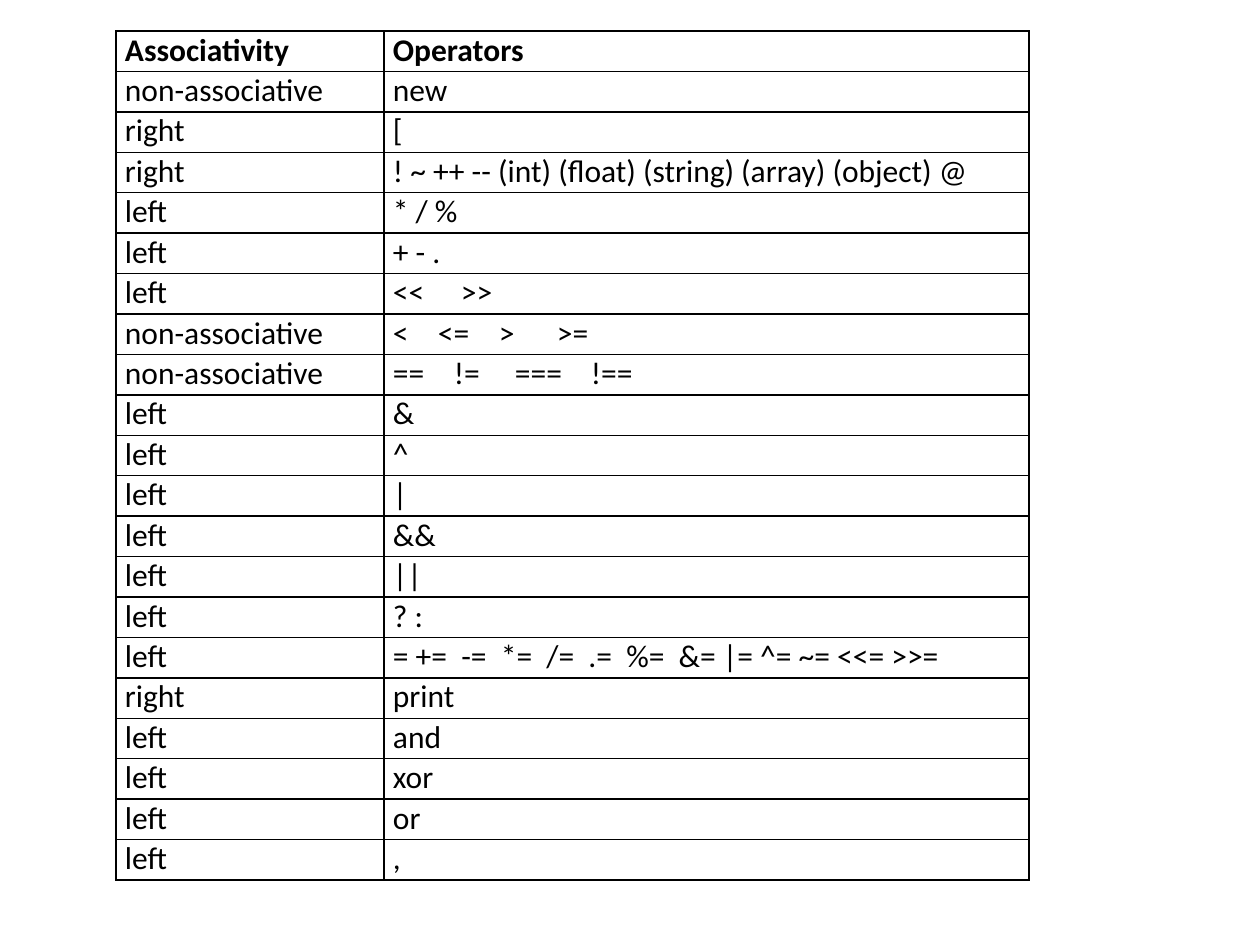
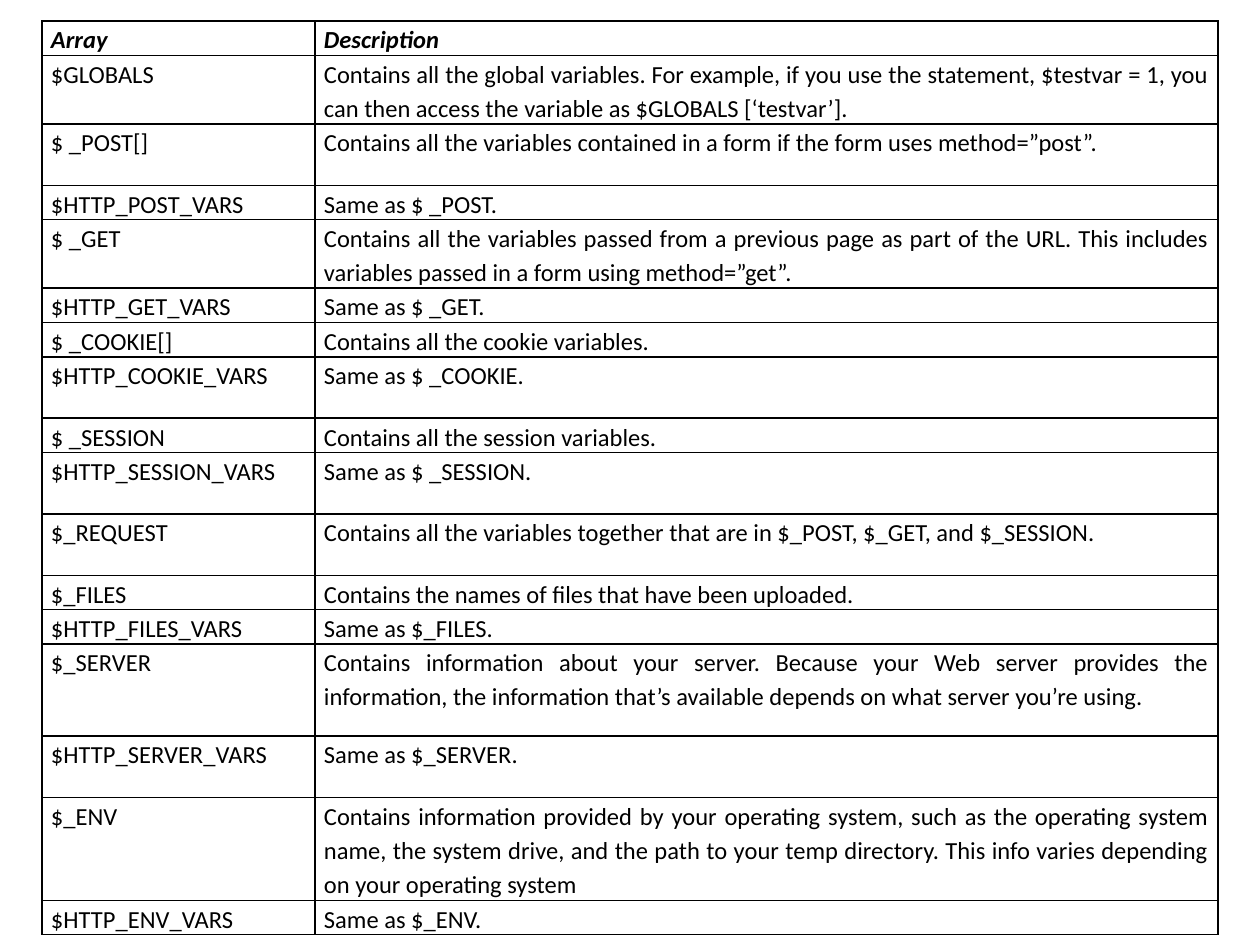
from pptx import Presentation
from pptx.dml.color import RGBColor
from pptx.enum import text
from pptx.oxml.ns import qn
from pptx.util import Emu, Pt
from lxml import etree

PX = 914400 / 126
INK = RGBColor(0x00, 0x00, 0x00)
FONT = "Calibri"
BORDER = Pt(1)
INSET = 9


def px(length):
    return Emu(round(length * PX))


def add_grid(page, place, columns, heights, rows, size, italic_head=False,
             align=None, spacing=None, tab_stops=None):
    """Draw a bordered table with a bold head row; return its frame."""
    left, top = place
    frame = page.shapes.add_table(len(rows), len(columns), px(left), px(top),
                                  px(sum(columns)), px(sum(heights)))
    table = frame.table
    table.first_row = table.horz_banding = False
    for column, width in zip(table.columns, columns):
        column.width = px(width)
    for number, (row, height, words) in enumerate(zip(table.rows, heights, rows)):
        row.height = px(height)
        for cell, wording in zip(row.cells, words):
            cell.margin_left = cell.margin_right = px(INSET)
            cell.margin_top = cell.margin_bottom = 0
            properties = cell._tc.get_or_add_tcPr()
            for side in ("a:lnL", "a:lnR", "a:lnT", "a:lnB"):
                line = etree.SubElement(properties, qn(side), w=str(BORDER))
                fill = etree.SubElement(line, qn("a:solidFill"))
                etree.SubElement(fill, qn("a:srgbClr"), val=str(INK))
            cell.fill.background()

            para = cell.text_frame.paragraphs[0]
            para.alignment = align
            if spacing:
                para.line_spacing = spacing
            if tab_stops and wording in tab_stops:
                stops = etree.SubElement(para._p.get_or_add_pPr(), qn("a:tabLst"))
                for stop in tab_stops[wording]:
                    etree.SubElement(stops, qn("a:tab"), pos=str(px(stop)), algn="l")
            span = para.add_run()
            span.text = wording
            span.font.name = FONT
            span.font.size = Pt(size)
            span.font.color.rgb = INK
            span.font.bold = number == 0
            span.font.italic = italic_head and number == 0
    return frame


deck = Presentation()
deck.slide_width, deck.slide_height = px(1260), px(945)
blank = deck.slide_layouts[6]

# Operator precedence
SHIFTS = "<<\t>>"
COMPARISONS = "<\t<=\t>\t>="
EQUALITIES = "==\t!=\t===\t!=="
operators = [
    ("Associativity", "Operators"),
    ("non-associative", "new"),
    ("right", "["),
    ("right", "! ~ ++ -- (int) (float) (string) (array) (object) @"),
    ("left", "* / %"),
    ("left", "+ - ."),
    ("left", SHIFTS),
    ("non-associative", COMPARISONS),
    ("non-associative", EQUALITIES),
    ("left", "&"),
    ("left", "^"),
    ("left", "|"),
    ("left", "&&"),
    ("left", "||"),
    ("left", "? :"),
    ("left", "= +=  -=  *=  /=  .=  %=  &= |= ^= ~= <<= >>="),
    ("right", "print"),
    ("left", "and"),
    ("left", "xor"),
    ("left", "or"),
    ("left", ","),
]
operator_stops = {SHIFTS: [68], COMPARISONS: [45, 106, 164], EQUALITIES: [61, 122, 198]}
operators_height = 850
page = deck.slides.add_slide(blank)
add_grid(page, (116, 31), (268, 645),
         [operators_height / len(operators)] * len(operators),
         operators, size=18, tab_stops=operator_stops)

# Predefined arrays: lines reserved for the row, name, description
arrays = [
    (1, "Array", "Description"),
    (2, "$GLOBALS", "Contains all the global variables. For example, if you use the "
     "statement, $testvar = 1, you can then access the variable as $GLOBALS [‘testvar’]."),
    (2, "$ _POST[]", "Contains all the variables contained in a form if the form uses "
     "method=”post”."),
    (1, "$HTTP_POST_VARS", "Same as $ _POST."),
    (2, "$ _GET", "Contains all the variables passed from a previous page as part of the "
     "URL. This includes variables passed in a form using method=”get”."),
    (1, "$HTTP_GET_VARS", "Same as $ _GET."),
    (1, "$ _COOKIE[]", "Contains all the cookie variables."),
    (2, "$HTTP_COOKIE_VARS", "Same as $ _COOKIE."),
    (1, "$ _SESSION", "Contains all the session variables."),
    (2, "$HTTP_SESSION_VARS", "Same as $ _SESSION."),
    (2, "$_REQUEST", "Contains all the variables together that are in $_POST, $_GET, and "
     "$_SESSION."),
    (1, "$_FILES", "Contains the names of files that have been uploaded."),
    (1, "$HTTP_FILES_VARS", "Same as $_FILES."),
    (3, "$_SERVER", "Contains information about your server. Because your Web server "
     "provides the information, the information that’s available depends on what server "
     "you’re using."),
    (2, "$HTTP_SERVER_VARS", "Same as $_SERVER."),
    (3, "$_ENV", "Contains information provided by your operating system, such as the "
     "operating system name, the system drive, and the path to your temp directory. This "
     "info varies depending on your operating system"),
    (1, "$HTTP_ENV_VARS", "Same as $_ENV."),
]
line_height = 30.7
page = deck.slides.add_slide(blank)
frame = add_grid(page, (42, 21), (273, 903),
                 [lines * line_height for lines, *_ in arrays],
                 [words for _, *words in arrays], size=14, italic_head=True,
                 align=text.PP_ALIGN.JUSTIFY, spacing=1.15)
frame.height = px(906)

deck.save("out.pptx")
